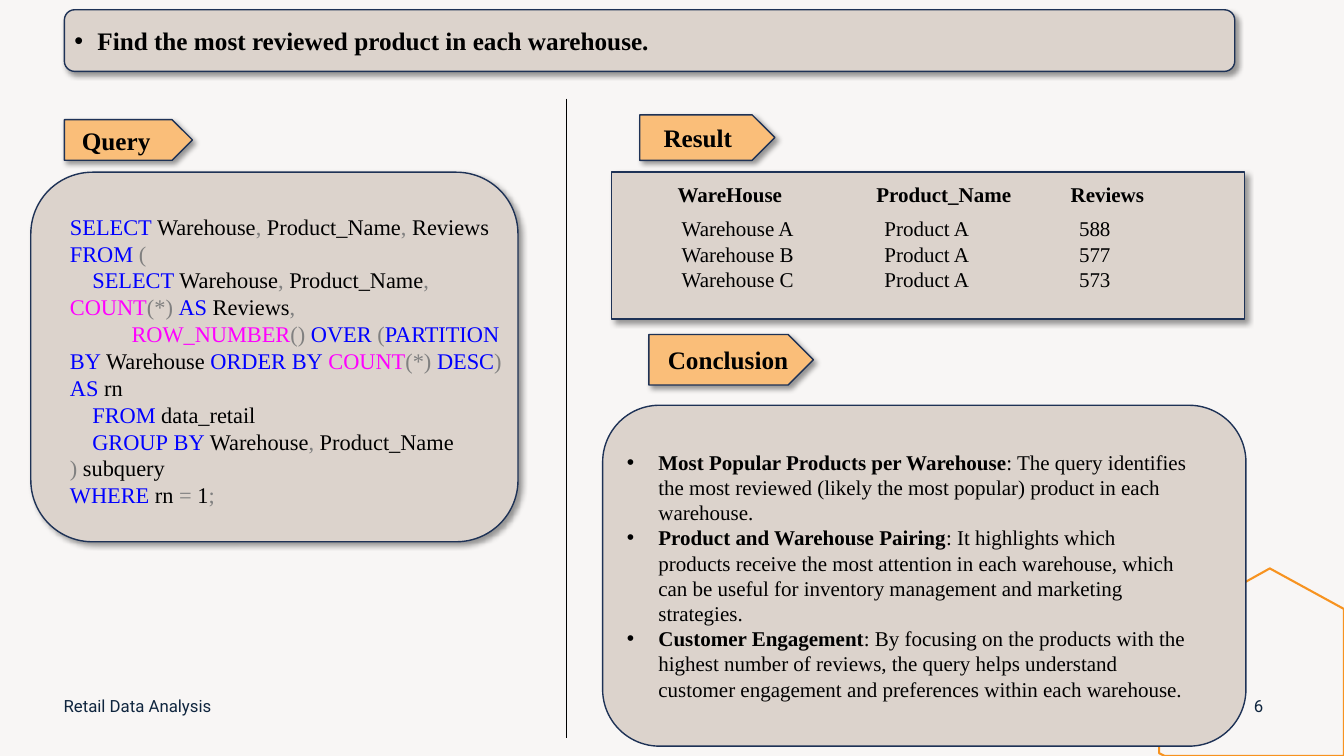
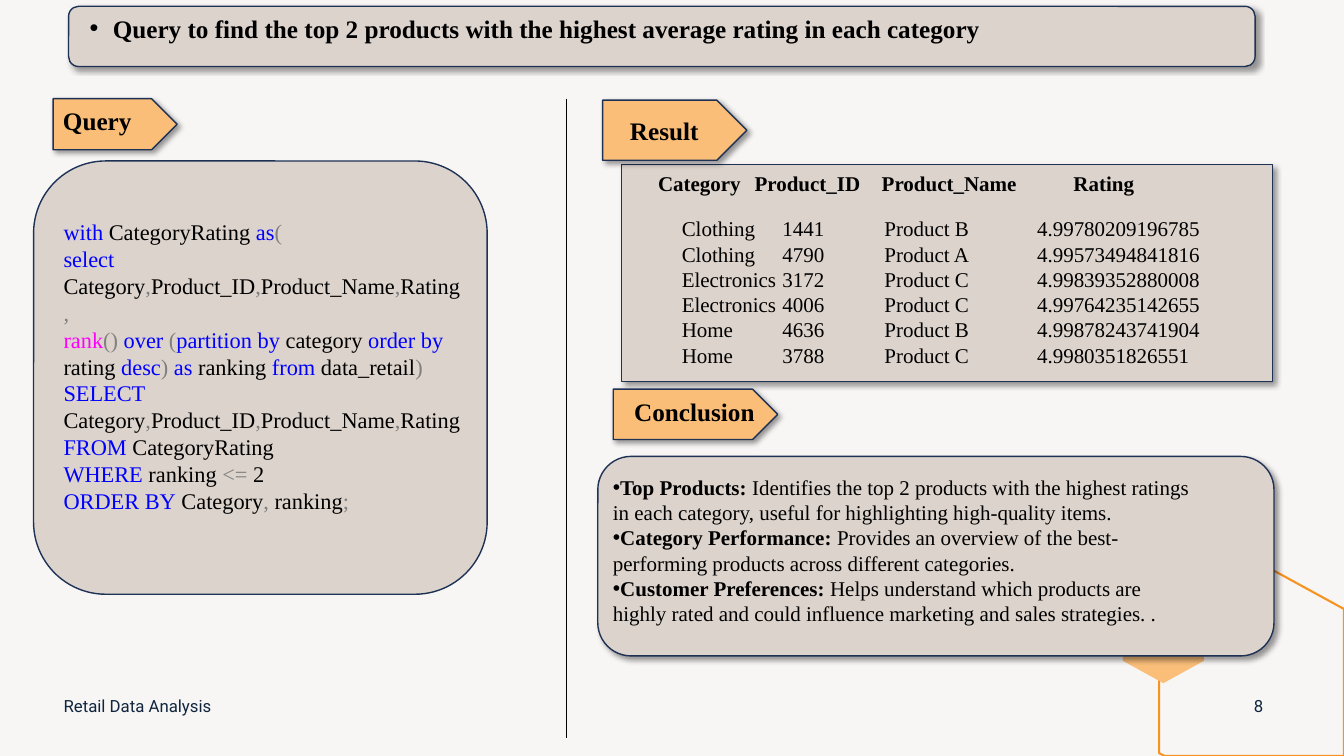
import itertools

import lxml.etree
import pptx
import pptx.dml.color
import pptx.enum.shapes
import pptx.enum.text
import pptx.oxml.ns
import pptx.util

Pt = pptx.util.Pt
qn = pptx.oxml.ns.qn
Kind = pptx.enum.shapes.MSO_SHAPE
Middle = pptx.enum.text.MSO_ANCHOR.MIDDLE
Align = pptx.enum.text.PP_ALIGN

BLACK, NAVY, SAND, PEACH = "000000", "1E3256", "DCD3CC", "FABE79"
BLUE, PINK, GREY = "0000FF", "FF00FF", "808080"
SERIF = "Times New Roman"
VERBS = "select from as over partition by order desc group where with".split()
CALLS = ["count", "row_number", "rank"]


def paint(fill, tone):
    fill.solid()
    fill.fore_color.rgb = pptx.dml.color.RGBColor.from_string(tone)


def write(frame, *parts, size=18, face=SERIF, tone=BLACK, bold=False,
          align=Align.LEFT, bullet=False, left=0, first=0):
    para = frame.paragraphs[0]
    if para.runs:
        para = frame.add_paragraph()
    para.alignment = align
    para.line_spacing = Pt(size * 1.2)
    props = para._p.get_or_add_pPr()
    props.set("marL", str(Pt(left)))
    props.set("indent", str(Pt(first)))
    if bullet:
        lxml.etree.SubElement(props, qn("a:buFont"), typeface="Arial")
        lxml.etree.SubElement(props, qn("a:buChar"), char="•")
    for part in parts:
        words, form = part if isinstance(part, tuple) else (part, {})
        run = para.add_run()
        run.text = words
        run.font.name = face
        run.font.size = Pt(size)
        run.font.bold = form.get("bold", bold)
        paint(run.font.fill, form.get("tone", tone))


pages = [
    {
        "page": "6",
        "panels": [
            (Kind.RECTANGLE, 437, 123, 452, 105, True),
            (Kind.ROUNDED_RECTANGLE, 430.5, 289.5, 459.5, 243.5, False),
            (Kind.ROUNDED_RECTANGLE, 22, 123, 348, 264, True),
        ],
        "title": ("Find the most reviewed product in each warehouse.",
                  46, 7, 836, 44, 5, 0),
        "tags": [
            ("Result", 457, 82, 96.5, 32.5, 17, 0),
            ("Query", 46, 85.5, 91.5, 29, 12.5, 0),
            ("Conclusion", 463.5, 239, 117.5, 36, 13.5, 0),
        ],
        "codebox": (50, 152, 326.9, 240),
        "code": [
            (0, "SELECT Warehouse, Product_Name, Reviews"),
            (0, "FROM ("),
            (16, "SELECT Warehouse, Product_Name, COUNT(*) AS Reviews,"),
            (44, "ROW_NUMBER() OVER (PARTITION BY Warehouse "
                 "ORDER BY COUNT(*) DESC) AS rn"),
            (16, "FROM data_retail"),
            (16, "GROUP BY Warehouse, Product_Name"),
            (0, ") subquery"),
            (0, "WHERE rn = 1;"),
        ],
        "grid": ([484, 626, 764], [487, 631, 770], 850, 130),
        "rows": [
            ("WareHouse", "Product_Name", "Reviews"),
            ("Warehouse A", "Product A", "588"),
            ("Warehouse B", "Product A", "577"),
            ("Warehouse C", "Product A", "573"),
        ],
        "notebox": (447.8, 321, 401.8, 182),
        "hang": 22.5,
        "notes": [
            ("Most Popular Products per Warehouse",
             ": The query identifies the most reviewed (likely the most "
             "popular) product in each warehouse."),
            ("Product and Warehouse Pairing",
             ": It highlights which products receive the most attention in "
             "each warehouse, which can be useful for inventory management "
             "and marketing strategies."),
            ("Customer Engagement",
             ": By focusing on the products with the highest number of "
             "reviews, the query helps understand customer engagement and "
             "preferences within each warehouse."),
        ],
    },
    {
        "page": "8",
        "panels": [
            (Kind.RECTANGLE, 444, 117.5, 465, 155, True),
            (Kind.ROUNDED_RECTANGLE, 24, 115, 324, 309.5, False),
            (Kind.ROUNDED_RECTANGLE, 427, 326, 483, 142.5, True),
        ],
        "title": ("Query to find the top 2 products with the highest "
                  "average rating in each category",
                  49, 4.5, 847.5, 43, 13, 6),
        "tags": [
            ("Result", 430.5, 71.5, 103, 43, 19.5, 0),
            ("Query", 38, 70.5, 88.5, 36.5, 7, 3),
            ("Conclusion", 438, 278, 117.5, 36, 15, 2),
        ],
        "codebox": (45.4, 156, 285.8, 212),
        "code": [
            (0, "with CategoryRating as("),
            (0, "select Category,Product_ID,Product_Name,Rating,"),
            (0, "rank() over (partition by category order by rating desc) "
                "as ranking from data_retail)"),
            (0, "SELECT Category,Product_ID,Product_Name,Rating "
                "FROM CategoryRating"),
            (0, "WHERE ranking <= 2"),
            (0, "ORDER BY Category, ranking;"),
        ],
        "grid": ([470, 539, 629, 766], [487, 558, 631, 740], 880, 122),
        "rows": [
            ("Category", "Product_ID", "Product_Name", "Rating"),
            ("Clothing", "1441", "Product B", "4.99780209196785"),
            ("Clothing", "4790", "Product A", "4.99573494841816"),
            ("Electronics", "3172", "Product C", "4.99839352880008"),
            ("Electronics", "4006", "Product C", "4.99764235142655"),
            ("Home", "4636", "Product B", "4.99878243741904"),
            ("Home", "3788", "Product C", "4.9980351826551"),
        ],
        "notebox": (437.8, 339, 412.6, 110),
        "hang": 0,
        "notes": [
            ("Top Products:",
             " Identifies the top 2 products with the highest ratings in "
             "each category, useful for highlighting high-quality items."),
            ("Category Performance:",
             " Provides an overview of the best-performing products across "
             "different categories."),
            ("Customer Preferences:",
             " Helps understand which products are highly rated and could "
             "influence marketing and sales strategies. ."),
        ],
    },
]

deck = pptx.Presentation()
deck.slide_width, deck.slide_height = Pt(960), Pt(540)
blank = deck.slide_layouts[6]
paint(blank.background.fill, "F8F6F5")

for page in pages:
    slide = deck.slides.add_slide(blank)
    shapes = slide.shapes

    pen = shapes.build_freeform(907, 405.5, scale=Pt(1))
    pen.add_line_segments([(960, 435), (960, 540), (832.5, 540),
                           (828.5, 538), (828.5, 450)])
    hexa = pen.convert_to_shape()
    hexa.shadow.inherit = False
    hexa.fill.background()
    hexa.line.width = Pt(1.5)
    paint(hexa.line.fill, "F79320")

    if page["page"] == "8":
        pen = shapes.build_freeform(831, 421, scale=Pt(1))
        pen.add_line_segments([(860.5, 438), (860.5, 471.5), (831, 488),
                               (801.5, 471.5), (801.5, 438)])
        gem = pen.convert_to_shape()
        gem.shadow.inherit = False
        paint(gem.fill, PEACH)
        gem.line.fill.background()

    boxes = [(*panel, SAND, None) for panel in page["panels"]]
    boxes += [(Kind.PENTAGON, *tag[1:5], True, PEACH, tag)
              for tag in page["tags"]]
    title = page["title"]
    boxes.append((Kind.ROUNDED_RECTANGLE, *title[1:5], True, SAND, title))
    for kind, x, y, w, h, shade, tone, label in boxes:
        box = shapes.add_shape(kind, Pt(x), Pt(y), Pt(w), Pt(h))
        paint(box.fill, tone)
        paint(box.line.fill, NAVY)
        box.line.width = Pt(1)
        box.shadow.inherit = False
        if shade:
            glow = lxml.etree.SubElement(
                box.element.spPr.find(qn("a:effectLst")), qn("a:outerShdw"),
                blurRad=str(Pt(4)), dist=str(Pt(3)), dir="2700000",
                algn="tl", rotWithShape="0")
            ink = lxml.etree.SubElement(glow, qn("a:srgbClr"), val=BLACK)
            lxml.etree.SubElement(ink, qn("a:alpha"), val="40000")
        if label:
            words, inset, lift = label[0], label[5], label[6]
            frame = box.text_frame
            frame.word_wrap = True
            frame.vertical_anchor = Middle
            frame.margin_left = Pt(inset)
            frame.margin_bottom = Pt(2 * lift)
            frame.margin_top = frame.margin_right = 0
            hang = 16.5 if label is title else 0
            write(frame, words, bold=True, bullet=hang > 0,
                  left=hang, first=-hang)

    frames = []
    for x, y, w, h in [page["codebox"], page["notebox"],
                       (45.4, 489.5, 300, 29), (881, 489.5, 36, 29)]:
        frame = shapes.add_textbox(Pt(x), Pt(y), Pt(w), Pt(h)).text_frame
        frame.word_wrap = True
        frame.margin_left = frame.margin_right = 0
        frame.margin_top = frame.margin_bottom = 0
        frames.append(frame)
    code, notes, foot, count = frames

    for first, line in page["code"]:
        parts = []
        for sort, chars in itertools.groupby(
                line, lambda c: "gap" if c == " " else
                "word" if c.isalnum() or c == "_" else "sign"):
            word = "".join(chars)
            low = word.lower()
            tone = (BLUE if low in VERBS else PINK if low in CALLS
                    else GREY if sort == "sign" else BLACK)
            parts.append((word, {"tone": tone}))
        write(code, *parts, size=16, first=first)

    for lead, rest in page["notes"]:
        write(notes, (lead, {"bold": True}), rest, size=15, bullet=True,
              left=page["hang"], first=-page["hang"])

    for frame, words, align in [(foot, "Retail Data Analysis", Align.LEFT),
                                (count, page["page"], Align.CENTER)]:
        frame.vertical_anchor = Middle
        write(frame, words, size=12, face="Roboto", tone="0F253E",
              align=align)

    rule = shapes.add_connector(pptx.enum.shapes.MSO_CONNECTOR.STRAIGHT,
                                Pt(404.5), Pt(70.5), Pt(404.5), Pt(527))
    paint(rule.line.fill, BLACK)
    rule.line.width = Pt(0.5)
    lxml.etree.SubElement(rule.element.spPr, qn("a:effectLst"))

    heads, cells, right, top = page["grid"]
    rows = page["rows"]
    edges = sorted({*heads, *cells[1:], right})
    tall = [154.5 - top] + [18] * (len(rows) - 1)
    table = shapes.add_table(len(rows), len(edges) - 1, Pt(edges[0]), Pt(top),
                             Pt(right - edges[0]), Pt(sum(tall))).table
    table.first_row = table.horz_banding = False
    style = table._tbl.tblPr.find(qn("a:tableStyleId"))
    style.text = "{2D5ABB26-0587-4C30-8999-92F81FD0307C}"
    for col, (a, b) in zip(table.columns, itertools.pairwise(edges)):
        col.width = Pt(b - a)
    for cell in table.iter_cells():
        cell.fill.background()
        cell.margin_left = cell.margin_right = 0
        cell.margin_top = cell.margin_bottom = 0
        cell.text_frame.paragraphs[0].line_spacing = Pt(18)
    for r, row in enumerate(rows):
        table.rows[r].height = Pt(tall[r])
        stops = cells if r else heads
        marks = [0] + [edges.index(x) for x in [*stops[1:], right]]
        for words, (a, b) in zip(row, itertools.pairwise(marks)):
            cell = table.cell(r, a)
            if b - a > 1:
                cell.merge(table.cell(r, b - 1))
            if a == 0:
                cell.margin_left = Pt(stops[0] - edges[0])
            write(cell.text_frame, words, size=15, bold=r == 0)

deck.save("out.pptx")
